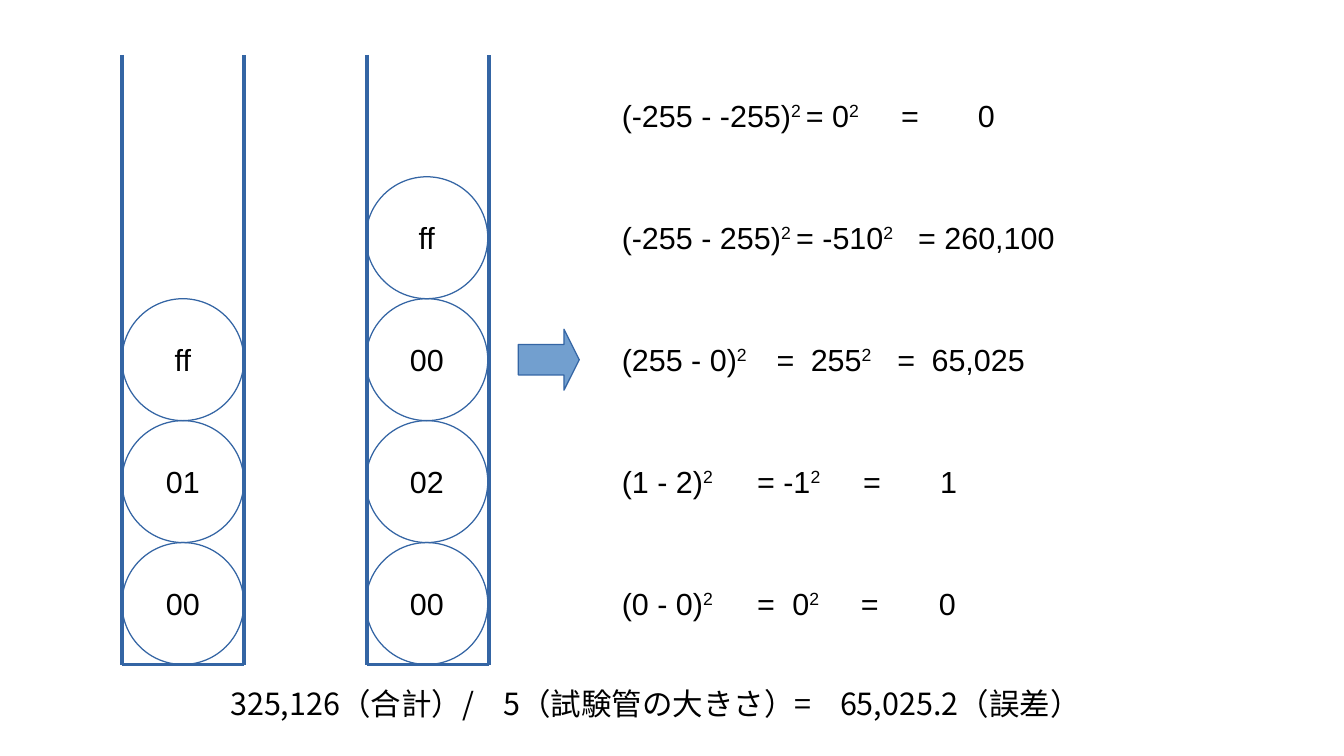
"""Build the slide that compares two test tubes and sums the squared errors."""
import pptx
import pptx.dml.color
import pptx.enum.shapes
import pptx.enum.text
import pptx.util
from lxml import etree
from pptx.oxml.ns import qn

Inches = pptx.util.Inches
Pt = pptx.util.Pt
RGBColor = pptx.dml.color.RGBColor
SHAPE = pptx.enum.shapes.MSO_SHAPE
ALIGN = pptx.enum.text.PP_ALIGN
ANCHOR = pptx.enum.text.MSO_ANCHOR

theme = {
    "line": RGBColor.from_string("3465A4"),
    "arrow": RGBColor.from_string("729FCF"),
    "text": RGBColor.from_string("000000"),
    "size": Pt(18),
    "hairline": Pt(0),
    "latin": "Arial",
    "japanese": "Noto Sans CJK JP",
}
frame_format = {
    "word_wrap": True,
    "vertical_anchor": ANCHOR.MIDDLE,
    "margin_left": Inches(0.1),
    "margin_right": Inches(0.1),
    "margin_top": Inches(0.05),
    "margin_bottom": Inches(0.05),
}
tube_top, tube_bottom, ball_size = 0.45, 5.45, 1
tubes = [
    (1, 1, ["00", "01", "ff"]),
    (3, 3.01, ["00", "02", "00", "ff"]),
]
equations = [
    ("(-255 - -255)²\t= 0²\t=\t0", [1.51, 2.29, 2.92]),
    ("(-255 - 255)²\t= -510²\t= 260,100", [1.43, 2.43]),
    ("(255 - 0)²\t=\t255²\t=\t65,025", [1.27, 1.55, 2.26, 2.54]),
    ("(1 - 2)²\t= -1²\t=\t1", [1.11, 1.98, 2.61]),
    ("(0 - 0)²\t=\t0²\t=\t0", [1.11, 1.4, 1.96, 2.6]),
]
total = "325,126（合計）/\t5（試験管の大きさ）=\t65,025.2（誤差）"


def write(box, text, font_name, align=ALIGN.LEFT, stops=()):
    """Write one paragraph with tab stops, raising each ² as a superscript."""
    frame = box.text_frame
    for name, value in frame_format.items():
        setattr(frame, name, value)
    para = frame.paragraphs[0]
    para.alignment = align
    if stops:
        tab_list = etree.SubElement(para._p.get_or_add_pPr(), qn("a:tabLst"))
        for stop in stops:
            etree.SubElement(tab_list, qn("a:tab"), pos=str(Inches(stop)), algn="l")
    for piece in text.replace("²", "|²|").split("|"):
        if not piece:
            continue
        span = para.add_run()
        span.text = piece.replace("²", "2")
        for name, value in {"size": theme["size"], "name": font_name}.items():
            setattr(span.font, name, value)
        span.font.color.rgb = theme["text"]
        properties = span.font._element
        etree.SubElement(properties, qn("a:ea"), typeface=font_name)
        if piece == "²":
            properties.set("baseline", "33000")


def outline(item):
    """Give a shape or connector the thin blue line without a shadow."""
    item.line.color.rgb = theme["line"]
    item.line.width = theme["hairline"]
    properties = item._element.spPr
    if properties.find(qn("a:effectLst")) is None:
        etree.SubElement(properties, qn("a:effectLst"))


deck = pptx.Presentation()
for name, value in {"slide_width": Inches(11.02), "slide_height": Inches(6.2)}.items():
    setattr(deck, name, value)
page = deck.slides.add_slide(deck.slide_layouts[6])

for ball_left, wall_left, labels in tubes:
    for level, label in enumerate(labels, start=1):
        ball = page.shapes.add_shape(
            SHAPE.OVAL, Inches(ball_left), Inches(tube_bottom - level * ball_size),
            Inches(ball_size), Inches(ball_size))
        ball.fill.background()
        outline(ball)
        write(ball, label, theme["latin"], ALIGN.CENTER)
    wall_right = wall_left + ball_size
    corners = [(wall_left, tube_top), (wall_left, tube_bottom),
               (wall_right, tube_bottom), (wall_right, tube_top)]
    for start, end in zip(corners, corners[1:]):
        wall = page.shapes.add_connector(
            pptx.enum.shapes.MSO_CONNECTOR.STRAIGHT,
            *[Inches(length) for length in start + end])
        outline(wall)

arrow = page.shapes.add_shape(
    SHAPE.RIGHT_ARROW, Inches(4.25), Inches(2.7), Inches(0.5), Inches(0.5))
arrow.adjustments[0] = 0.5
arrow.adjustments[1] = 0.25
arrow.fill.solid()
arrow.fill.fore_color.rgb = theme["arrow"]
outline(arrow)

for row, (equation, stops) in enumerate(equations):
    box = page.shapes.add_textbox(
        Inches(5), Inches(tube_top + row * ball_size), Inches(4.5), Inches(ball_size))
    write(box, equation, theme["latin"], stops=stops)

total_box = page.shapes.add_textbox(Inches(1.79), Inches(5.54), Inches(7.3), Inches(0.46))
write(total_box, total, theme["japanese"], stops=[2.24, 5])

deck.save("out.pptx")
